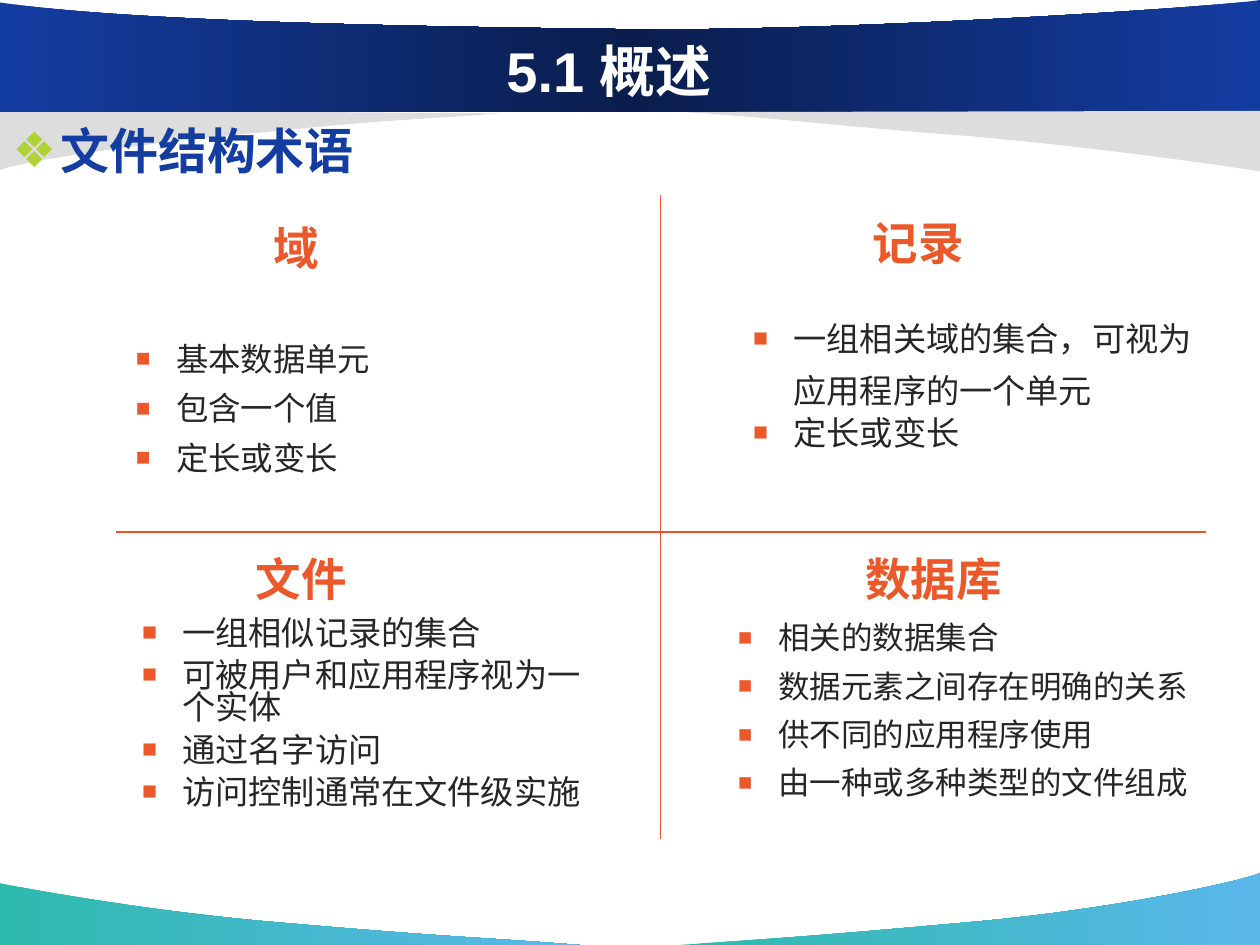
from copy import deepcopy
from lxml.etree import SubElement
from pptx import Presentation
from pptx.dml.color import RGBColor
from pptx.enum.shapes import MSO_CONNECTOR as Conn
from pptx.enum.text import MSO_ANCHOR as Anchor, MSO_AUTO_SIZE as Auto, PP_ALIGN as Align
from pptx.oxml.ns import qn
from pptx.util import Cm, Pt

TEAL = ["2EBAAD", "5AB7EA"]
NAVY = ["143DA2", "0A1D4D", "143DA2"]
GREY = ["DDDDDD"]
RED, INK = "EB592B", "262626"

WAVES = [
    (TEAL, [[(4.6, 7.5)], [(3.84, 7.44), (3.58, 7.44), (2.32, 7.33)],
            [(1.06, 7.23), (0.01, 7.01), (0, 7.01)], [(0, 7.5)]]),
    (TEAL, [[(5.39, 7.5)], [(6.14, 7.45), (6.46, 7.43), (7.69, 7.32)],
            [(8.92, 7.21), (9.9, 6.98), (10, 6.93)], [(10, 7.5)]]),
    (GREY, [[(3.98, 0.9)], [(3.31, 0.95), (3.18, 0.94), (2.08, 1.05)],
            [(0.97, 1.15), (0.09, 1.3), (0, 1.35)], [(0, 0.87)]]),
    (NAVY, [[(0, 0.89)], [(10, 0.89)], [(10, 0)],
            [(9.64, 0.06), (6.53, 0.26), (4.87, 0.23)],
            [(3.21, 0.21), (1.01, 0.17), (0, 0.02)]]),
    (GREY, [[(5.44, 0.89)], [(6.2, 0.94), (6.42, 0.98), (7.68, 1.08)],
            [(8.94, 1.19), (9.99, 1.36), (10, 1.36)], [(10, 0.88)]]),
]

HEADS = [
    ("域", (0.5, 1.53, 3.71, 0.7), Anchor.BOTTOM, 0.05),
    ("记录", (6.51, 1.39, 1.56, 0.8), Anchor.BOTTOM, 0.05),
    ("文件", (0.39, 4.2, 4, 0.8), Anchor.MIDDLE, 0),
    ("数据库", (5.41, 4.2, 4, 0.8), Anchor.MIDDLE, 0),
]

LISTS = [
    ((0.67, 2.19, 3.86, 1.43), 0.5, 18.5,
     [("基本数据单元", 1), ("包含一个值", 1), ("定长或变长", 1)]),
    ((5.57, 2.38, 4, 1.28), 0.05, 19,
     [("一组相关域的集合，可视为应用程序的一个单元", 1.3), ("定长或变长", 0.8)]),
    ((0.72, 4.87, 4, 1.63), 0.05, 19,
     [("一组相似记录的集合", 0.8), ("可被用户和应用程序视为一个实体", 0.8),
      ("通过名字访问", 0.8), ("访问控制通常在文件级实施", 0.8)]),
    ((5.45, 4.86, 4.14, 1.57), 0.05, 18,
     [("相关的数据集合", 1), ("数据元素之间存在明确的关系", 1),
      ("供不同的应用程序使用", 1), ("由一种或多种类型的文件组成", 1)]),
]

RULES = [((5.24, 1.55), (5.24, 6.66), 0.75),
         ((0.92, 4.22), (9.57, 4.22), 1)]


def size(inch):
    return Cm(inch * 2.54)


def rgb(code):
    return RGBColor.from_string(code)


def paint(shape, tones):
    fill = shape.fill
    if len(tones) == 1:
        fill.solid()
        fill.fore_color.rgb = rgb(tones[0])
        return
    fill.gradient()
    fill.gradient_angle = 0
    stops = shape._element.spPr.find(qn("a:gradFill")).find(qn("a:gsLst"))
    for _ in tones[2:]:
        stops.append(deepcopy(stops[0]))
    for i, (stop, tone) in enumerate(zip(fill.gradient_stops, tones)):
        stop.position = i / (len(tones) - 1)
        stop.color.rgb = rgb(tone)


def bend(shape, parts):
    lines = iter(list(shape._element.spPr.iter(qn("a:lnTo"))))
    for part in parts[1:]:
        group = [next(lines) for _ in part]
        if len(group) == 3:
            curve = group[0]
            curve.tag = qn("a:cubicBezTo")
            for line in group[1:]:
                curve.append(line[0])
                line.getparent().remove(line)


def wave(slide, tones, parts):
    dots = [(size(x), size(y)) for part in parts for x, y in part]
    pen = slide.shapes.build_freeform(*dots[0], scale=1.0)
    pen.add_line_segments(dots[1:], close=True)
    shape = pen.convert_to_shape()
    bend(shape, parts)
    shape.shadow.inherit = False
    shape.line.fill.background()
    paint(shape, tones)


def rule(slide, start, end, width):
    line = slide.shapes.add_connector(Conn.STRAIGHT, *map(size, start + end))
    line.line.color.rgb = rgb("EB5525")
    line.line.width = Pt(width)
    SubElement(line._element.spPr, qn("a:effectLst"))


def frame(slide, place):
    text = slide.shapes.add_textbox(*map(size, place)).text_frame
    text.word_wrap = True
    return text


def style(para, points, tone, bold=False):
    font = para.font
    font.name, font.size, font.bold = "Arial", Pt(points), bold
    font.color.rgb = rgb(tone)


def bullet(para, mark, tone, left, hang, scale=100):
    props = para._p.get_or_add_pPr()
    props.set("marL", str(size(left)))
    props.set("indent", str(-size(hang)))
    SubElement(SubElement(props, qn("a:buClr")), qn("a:srgbClr"), val=tone)
    SubElement(props, qn("a:buSzPct"), val=str(scale * 1000))
    SubElement(props, qn("a:buFont"), typeface="Arial")
    SubElement(props, qn("a:buChar"), char=mark)


def head(slide, words, place, anchor, inset):
    text = frame(slide, place)
    text.vertical_anchor = anchor
    text.margin_top = text.margin_bottom = size(inset)
    para = text.paragraphs[0]
    para.text = words
    para.alignment = Align.CENTER
    para.line_spacing = Pt(30)
    style(para, 26, RED, True)


def items(slide, place, inset, points, rows):
    text = frame(slide, place)
    text.margin_top = size(inset)
    for i, (words, pitch) in enumerate(rows):
        para = text.add_paragraph() if i else text.paragraphs[0]
        para.text = words
        para.level = 1
        bullet(para, "■", RED, 0.63, 0.32, 75)
        para.line_spacing = pitch
        if i:
            para.space_before = Pt(6)
        style(para, points, INK)


def title(slide, words, place):
    shape = slide.shapes.title
    shape.left, shape.top, shape.width, shape.height = map(size, place)
    text = shape.text_frame
    text.text = words
    text.auto_size = Auto.NONE
    text.vertical_anchor = Anchor.MIDDLE
    para = text.paragraphs[0]
    para.alignment = Align.CENTER
    style(para, 32, "FFFFFF", True)
    slide.shapes._spTree.append(shape._element)


def topic(slide, words, place):
    para = frame(slide, place).paragraphs[0]
    para.text = words
    bullet(para, "❖", "AED337", 0.38, 0.38)
    style(para, 28, "143DA2", True)


def main():
    deck = Presentation()
    deck.slide_width, deck.slide_height = size(10), size(7.5)
    slide = deck.slides.add_slide(deck.slide_layouts[5])
    for tones, parts in WAVES:
        wave(slide, tones, parts)
    for spot in HEADS:
        head(slide, *spot)
    for spot in LISTS:
        items(slide, *spot)
    title(slide, "5.1 概述", (0.92, 0.25, 7.83, 0.62))
    topic(slide, "文件结构术语", (0, 0.91, 9.14, 0.97))
    for spot in RULES:
        rule(slide, *spot)
    deck.save("out.pptx")


if __name__ == "__main__":
    main()
